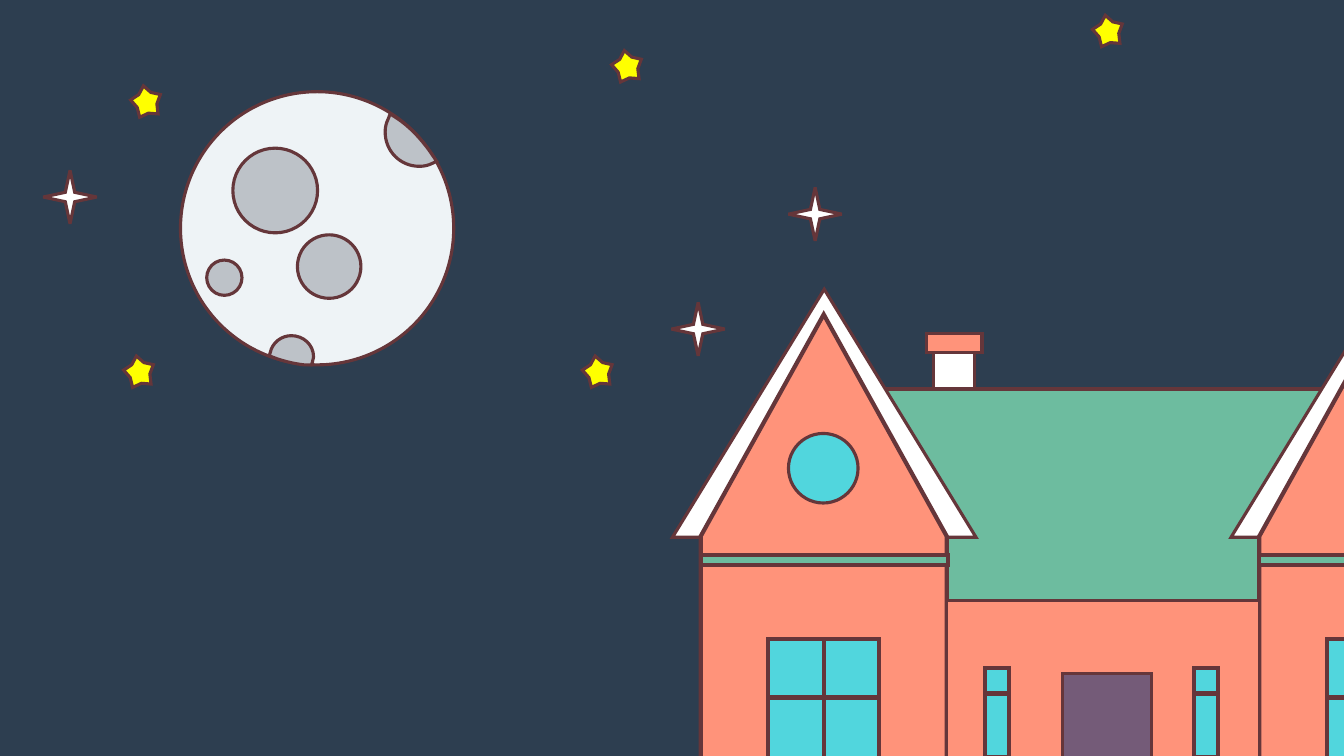
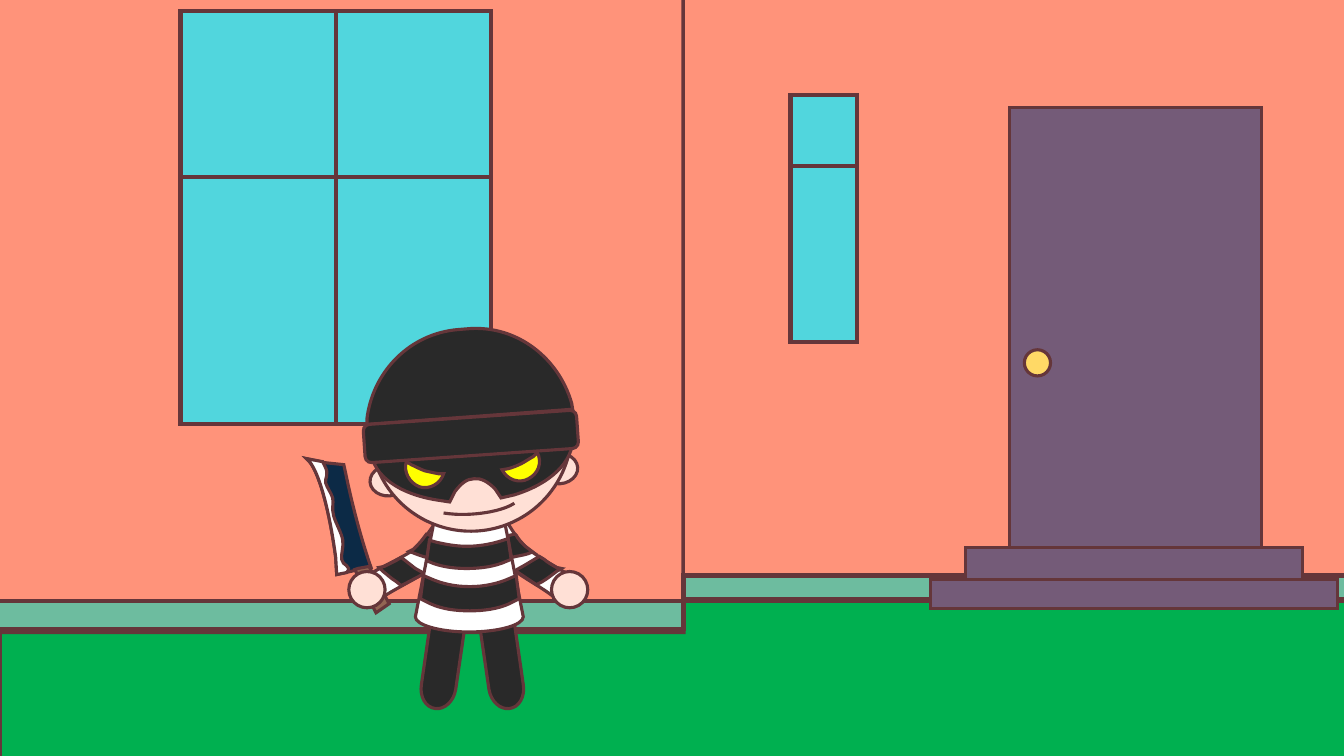
from lxml.etree import SubElement
from pptx import Presentation
from pptx.dml.color import RGBColor
from pptx.enum.shapes import MSO_SHAPE as FORM
from pptx.oxml.ns import qn
from pptx.util import Inches, Pt

NIGHT = RGBColor(0x2D, 0x3E, 0x50)
INK = RGBColor(0x65, 0x36, 0x3A)
MOONLIGHT = RGBColor(0xEE, 0xF3, 0xF6)
CRATER = RGBColor(0xBD, 0xC2, 0xC8)
YELLOW = RGBColor(0xFF, 0xFF, 0x00)
WHITE = RGBColor(0xFF, 0xFF, 0xFF)
MINT = RGBColor(0x6D, 0xBC, 0x9F)
CORAL = RGBColor(0xFF, 0x93, 0x7A)
GLASS = RGBColor(0x51, 0xD6, 0xDD)
PLUM = RGBColor(0x74, 0x5B, 0x78)
GRASS = RGBColor(0x00, 0xB0, 0x50)
BRASS = RGBColor(0xFF, 0xD9, 0x66)
SKIN = RGBColor(0xFF, 0xE0, 0xD6)
BLACK = RGBColor(0x29, 0x29, 0x29)
STEEL = RGBColor(0x0C, 0x2A, 0x46)
WOOD = RGBColor(0x92, 0x65, 0x53)

THIN, THICK = 2.25, 3
HEAD_TILT = 356


def trace(shapes, outline):
    """Add a closed outline of "x,y" points in inches; C makes the next three a Bézier curve."""
    points, curve_starts = [], []
    for token in outline.split():
        if token == "C":
            curve_starts.append(len(points))
        else:
            x, y = token.split(",")
            points.append((Inches(float(x)), Inches(float(y))))
    builder = shapes.build_freeform(*points[0], scale=1.0)
    builder.add_line_segments(points[1:], close=True)
    shape = builder.convert_to_shape()
    track = shape.element.spPr.find(".//" + qn("a:path"))
    segments = track.findall(qn("a:lnTo"))
    for start in curve_starts:
        trio = segments[start - 1:start + 2]
        curve = track.makeelement(qn("a:cubicBezTo"))
        trio[0].addprevious(curve)
        for segment in trio:
            curve.append(segment[0])
            track.remove(segment)
    return shape


def draw(shapes, form, fill, box=None, rotation=0, weight=THIN):
    """Draw a preset form in a box, or an outline given as text, with an ink line."""
    if isinstance(form, str):
        shape = trace(shapes, form)
    else:
        shape = shapes.add_shape(form, *[Inches(length) for length in box])
    shape.rotation = rotation
    shape.shadow.inherit = False
    if fill is None:
        shape.fill.background()
    else:
        shape.fill.solid()
        shape.fill.fore_color.rgb = fill
    shape.line.color.rgb = INK
    shape.line.width = Pt(weight)
    SubElement(shape.element.spPr.find(qn("a:ln")), qn("a:miter"), lim="800000")
    return shape


deck = Presentation()
deck.slide_width, deck.slide_height = Inches(13.33), Inches(7.5)
sky = deck.slide_master.background.fill
sky.solid()
sky.fore_color.rgb = NIGHT
blank = deck.slide_layouts[6]

# Slide 1: the house under the moon
page = deck.slides.add_slide(blank)

moon = page.shapes.add_group_shape().shapes
draw(moon, FORM.OVAL, MOONLIGHT, (1.79, 0.91, 2.71, 2.71))
draw(moon, "3.87,1.13 3.9,1.15 C 4.05,1.24 4.17,1.37 4.27,1.51 4.33,1.6 4.29,1.62 "
     "C 4.25,1.64 4.21,1.65 4.16,1.65 C 3.97,1.65 3.82,1.5 3.82,1.31 "
     "C 3.82,1.26 3.83,1.22 3.85,1.18", CRATER)
for left, top, size in ((2.31, 1.47, 0.84), (2.95, 2.33, 0.63), (2.05, 2.58, 0.35)):
    draw(moon, FORM.OVAL, CRATER, (left, top, size, size))
draw(moon, "2.89,3.33 C 3.01,3.33 3.11,3.42 3.11,3.54 C 3.11,3.56 3.11,3.57 3.1,3.59 "
     "3.09,3.62 3.02,3.62 C 2.93,3.61 2.84,3.59 2.75,3.56 2.67,3.53 2.68,3.5 "
     "C 2.7,3.4 2.79,3.33 2.89,3.33", CRATER)

for left, top in ((1.3, 0.85), (6.07, 0.5), (10.84, 0.15), (5.78, 3.53), (1.23, 3.53)):
    star = draw(page.shapes, FORM.STAR_5_POINT, YELLOW, (left, top, 0.3, 0.3), 349.6)
    star.adjustments[0] = 0.33
for left, top in ((6.66, 3), (7.82, 1.86), (0.43, 1.69)):
    draw(page.shapes, FORM.STAR_4_POINT, WHITE, (left, top, 0.53, 0.53))

house = page.shapes.add_group_shape().shapes
draw(house, FORM.RECTANGLE, MINT, (8.42, 3.86, 4.9, 2.1))
for left, pane_columns in ((6.95, 2), (12.49, 1)):
    right = left + 2.44
    draw(house, FORM.ISOSCELES_TRIANGLE, WHITE, (left - 0.28, 2.87, 3.01, 2.46))
    draw(house, f"{left + 1.22:.2f},3.12 {right:.2f},5.32 {right:.2f},8.52 "
         f"{left},8.52 {left},5.32", CORAL, weight=THICK)
    for column in range(pane_columns):
        for height in (1.45, 0.58):
            pane = (left + 0.67 + column * 0.55, 6.34, 0.55, height)
            draw(house, FORM.RECTANGLE, GLASS, pane, weight=THICK)
    draw(house, FORM.RECTANGLE, MINT, (left, 5.51, 2.45, 0.1), weight=THICK)
draw(house, FORM.OVAL, GLASS, (7.82, 4.3, 0.69, 0.69))
draw(house, FORM.RECTANGLE, CORAL, (9.39, 5.96, 3.1, 2.45))
draw(house, FORM.RECTANGLE, WHITE, (9.26, 3.5, 0.41, 0.36))
draw(house, FORM.RECTANGLE, CORAL, (9.19, 3.31, 0.55, 0.19))
for left in (11.84, 9.77):
    for top, height in ((6.88, 0.63), (6.63, 0.25)):
        draw(house, FORM.RECTANGLE, GLASS, (left, top, 0.24, height), weight=THICK)
draw(house, FORM.RECTANGLE, PLUM, (10.54, 6.68, 0.88, 1.66))

# Slide 2: the burglar at the front door
page = deck.slides.add_slide(blank)
draw(page.shapes, FORM.RECTANGLE, GRASS, (0, 5.42, 14.94, 2.39))

house = page.shapes.add_group_shape().shapes
draw(house, "3.33,-8.98 6.78,-2.77 6.78,6.27 -0.13,6.27 -0.13,-2.77", CORAL, weight=THICK)
for left in (1.79, 3.33):
    for height in (4.1, 1.65):
        draw(house, FORM.RECTANGLE, GLASS, (left, 0.11, 1.54, height), weight=THICK)
for form, fill, box, weight in (
    (FORM.RECTANGLE, MINT, (-0.13, 5.96, 6.91, 0.28), THICK),
    (FORM.RECTANGLE, CORAL, (6.78, -0.96, 8.75, 6.93), THIN),
    (FORM.RECTANGLE, MINT, (6.78, 5.71, 8.75, 0.23), THICK),
    (FORM.RECTANGLE, GLASS, (7.84, 1.62, 0.66, 1.77), THICK),
    (FORM.RECTANGLE, GLASS, (7.84, 0.94, 0.66, 0.71), THICK),
    (FORM.RECTANGLE, PLUM, (10.01, 1.07, 2.5, 4.67), THIN),
    (FORM.OVAL, BRASS, (10.16, 3.47, 0.26, 0.26), THIN),
    (FORM.RECTANGLE, PLUM, (9.58, 5.43, 3.34, 0.43), THIN),
    (FORM.RECTANGLE, PLUM, (9.23, 5.75, 4.04, 0.29), THIN),
):
    draw(house, form, fill, box, weight=weight)

free_arm = (
    ("4.7,5.18 C 4.64,5.13 4.64,5.05 4.69,5 C 4.74,4.94 4.82,4.94 4.88,4.99 "
     "C 5.02,5.12 5.07,5.29 5.21,5.42 C 5.35,5.55 5.59,5.65 5.73,5.77 "
     "C 5.79,5.82 5.79,5.91 5.74,5.96 C 5.69,6.01 5.61,6.02 5.55,5.97 "
     "C 5.4,5.83 5.18,5.74 5.03,5.6", WHITE),
    (FORM.OVAL, SKIN, (5.47, 5.67, 0.36, 0.36)),
    ("5.11,5.3 5.12,5.31 C 5.14,5.35 5.17,5.38 5.21,5.42 5.29,5.48 5.27,5.48 "
     "C 5.23,5.5 5.17,5.51 5.12,5.52 4.99,5.55 4.84,5.35 4.94,5.34 "
     "C 4.99,5.33 5.05,5.31 5.1,5.3", BLACK),
    ("5.35,5.52 5.2,5.61 5.11,5.66 5.32,5.8 5.38,5.77 C 5.43,5.74 5.48,5.7 5.52,5.67 "
     "5.57,5.64 5.52,5.63 C 5.47,5.6 5.43,5.58 5.4,5.55", BLACK),
)
knife_arm = (
    ("4.62,5.23 C 4.68,5.19 4.69,5.1 4.64,5.05 C 4.59,4.99 4.51,4.98 4.46,5.03 "
     "C 4.31,5.16 4.25,5.32 4.11,5.45 C 3.95,5.56 3.71,5.65 3.56,5.77 "
     "C 3.5,5.82 3.5,5.9 3.54,5.96 C 3.59,6.01 3.67,6.02 3.73,5.97 "
     "C 3.89,5.85 4.11,5.76 4.27,5.64", WHITE),
    ("3.98,5.53 4.12,5.64 4.21,5.69 3.98,5.81 3.93,5.77 C 3.88,5.74 3.84,5.7 3.8,5.67 "
     "3.76,5.63 3.81,5.62 C 3.85,5.6 3.89,5.58 3.93,5.56", BLACK),
    ("4.23,5.3 4.4,5.35 4.5,5.37 4.33,5.56 4.27,5.54 C 4.22,5.53 4.16,5.51 4.11,5.49 "
     "4.06,5.47 4.1,5.45 C 4.14,5.41 4.17,5.38 4.2,5.34", BLACK),
    ("3.04,4.55 3.22,4.59 3.41,4.61 3.43,4.7 C 3.5,5.04 3.59,5.37 3.68,5.63 "
     "3.56,5.65 3.34,5.7 3.33,5.53 C 3.27,5.08 3.17,4.7 3.07,4.58", STEEL),
    ("3.04,4.55 3.2,4.58 3.22,4.62 C 3.27,4.71 3.22,4.74 3.23,4.79 "
     "C 3.25,4.85 3.28,4.88 3.3,4.94 C 3.31,4.99 3.29,5.05 3.31,5.12 "
     "C 3.33,5.19 3.39,5.29 3.4,5.36 C 3.41,5.43 3.38,5.5 3.39,5.55 "
     "C 3.39,5.61 3.5,5.61 3.44,5.68 3.34,5.7 3.33,5.53 "
     "C 3.27,5.08 3.17,4.7 3.07,4.58", WHITE),
    ("3.52,5.65 3.55,5.64 3.66,5.62 3.86,5.99 3.73,6.08 "
     "C 3.66,5.95 3.59,5.79 3.52,5.65", WOOD),
    (FORM.OVAL, SKIN, (3.46, 5.67, 0.36, 0.36)),
)
legs = (
    ("5.07,5.96 4.73,6.02 4.85,6.84 C 4.87,6.96 4.96,7.04 5.05,7.03 "
     "C 5.15,7.02 5.21,6.91 5.19,6.79", BLACK),
    ("4.3,5.96 4.64,6.02 4.52,6.84 C 4.5,6.96 4.41,7.04 4.32,7.03 "
     "C 4.22,7.02 4.16,6.91 4.18,6.79", BLACK),
)
shirt = (
    ("4.3,5.2 5.01,5.2 5.19,6.12 C 5.19,6.2 4.95,6.27 4.65,6.27 "
     "C 4.36,6.27 4.12,6.2 4.12,6.12", WHITE),
    ("4.2,5.71 4.27,5.74 C 4.38,5.79 4.51,5.82 4.66,5.82 "
     "C 4.8,5.82 4.94,5.79 5.05,5.74 5.12,5.71 5.15,5.94 5.05,5.99 "
     "C 4.94,6.04 4.8,6.06 4.66,6.06 C 4.51,6.06 4.38,6.04 4.27,5.99 4.17,5.94", BLACK),
    ("5.04,5.34 5.07,5.55 5.02,5.57 C 4.91,5.62 4.77,5.64 4.63,5.64 "
     "C 4.49,5.64 4.36,5.62 4.25,5.57 4.23,5.57 4.26,5.36 4.33,5.38 "
     "C 4.42,5.4 4.52,5.42 4.63,5.42 C 4.77,5.42 4.91,5.39 5.02,5.35", BLACK),
)
for parts in (free_arm, knife_arm, legs, shirt):
    limb = page.shapes.add_group_shape().shapes
    for part in parts:
        draw(limb, *part)

head = page.shapes.add_group_shape().shapes
for box in ((5.36, 4.5, 0.37, 0.3), (3.67, 4.62, 0.37, 0.3), (3.67, 3.27, 2, 2)):
    draw(head, FORM.OVAL, SKIN, box, HEAD_TILT)
mouth = draw(head, FORM.ARC, None, (4.21, 4.81, 0.94, 0.29), HEAD_TILT)
mouth.adjustments[0], mouth.adjustments[1] = 5.42, 95.02
for outline, fill in (
    ("3.69,4.37 C 3.8,4.47 4.2,4.52 4.69,4.49 C 5.17,4.45 5.56,4.35 5.65,4.23 5.68,4.34 "
     "C 5.69,4.58 5.46,4.8 5.1,4.91 4.97,4.94 4.91,4.85 C 4.84,4.78 4.77,4.74 4.7,4.75 "
     "C 4.63,4.75 4.57,4.8 4.51,4.88 4.46,4.98 4.33,4.96 "
     "C 3.96,4.9 3.7,4.72 3.68,4.48", BLACK),
    ("4.98,4.66 5.04,4.65 C 5.08,4.64 5.13,4.62 5.17,4.6 C 5.21,4.58 5.25,4.55 5.29,4.53 "
     "5.33,4.49 C 5.38,4.59 5.34,4.7 5.24,4.75 C 5.15,4.8 5.03,4.76 4.98,4.66", YELLOW),
    ("4.4,4.7 4.35,4.7 C 4.3,4.69 4.25,4.68 4.21,4.67 C 4.16,4.65 4.12,4.63 4.08,4.61 "
     "4.03,4.58 C 4,4.68 4.06,4.79 4.16,4.83 C 4.26,4.86 4.37,4.8 4.4,4.7", YELLOW),
    ("4.54,3.27 4.66,3.26 C 5.13,3.23 5.54,3.55 5.67,4 5.68,4.06 3.64,4.21 3.64,4.15 "
     "C 3.7,3.68 4.07,3.31 4.54,3.27", BLACK),
):
    draw(head, outline, fill)
draw(head, FORM.ROUNDED_RECTANGLE, BLACK, (3.61, 4.14, 2.12, 0.38), HEAD_TILT)

deck.save("out.pptx")
